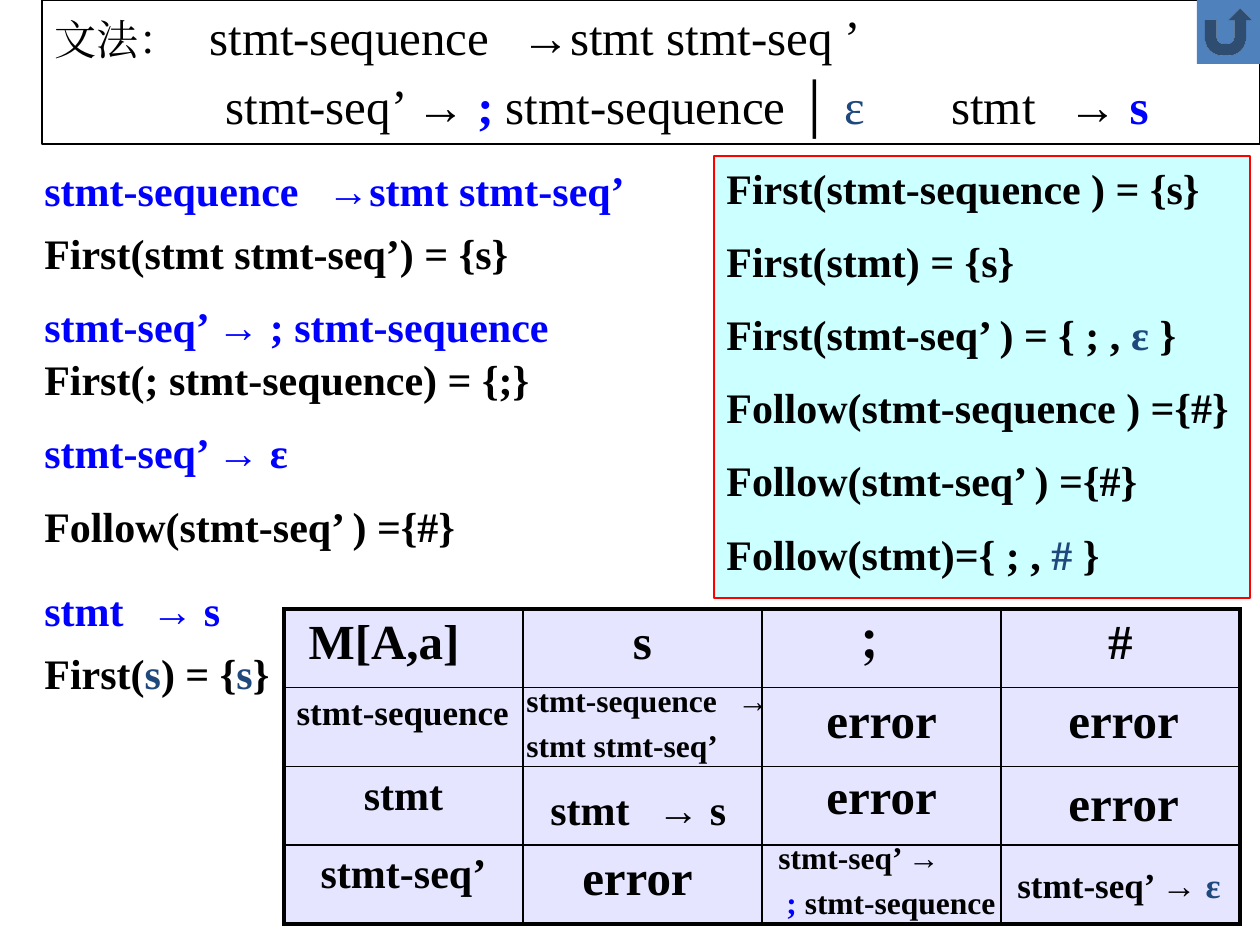
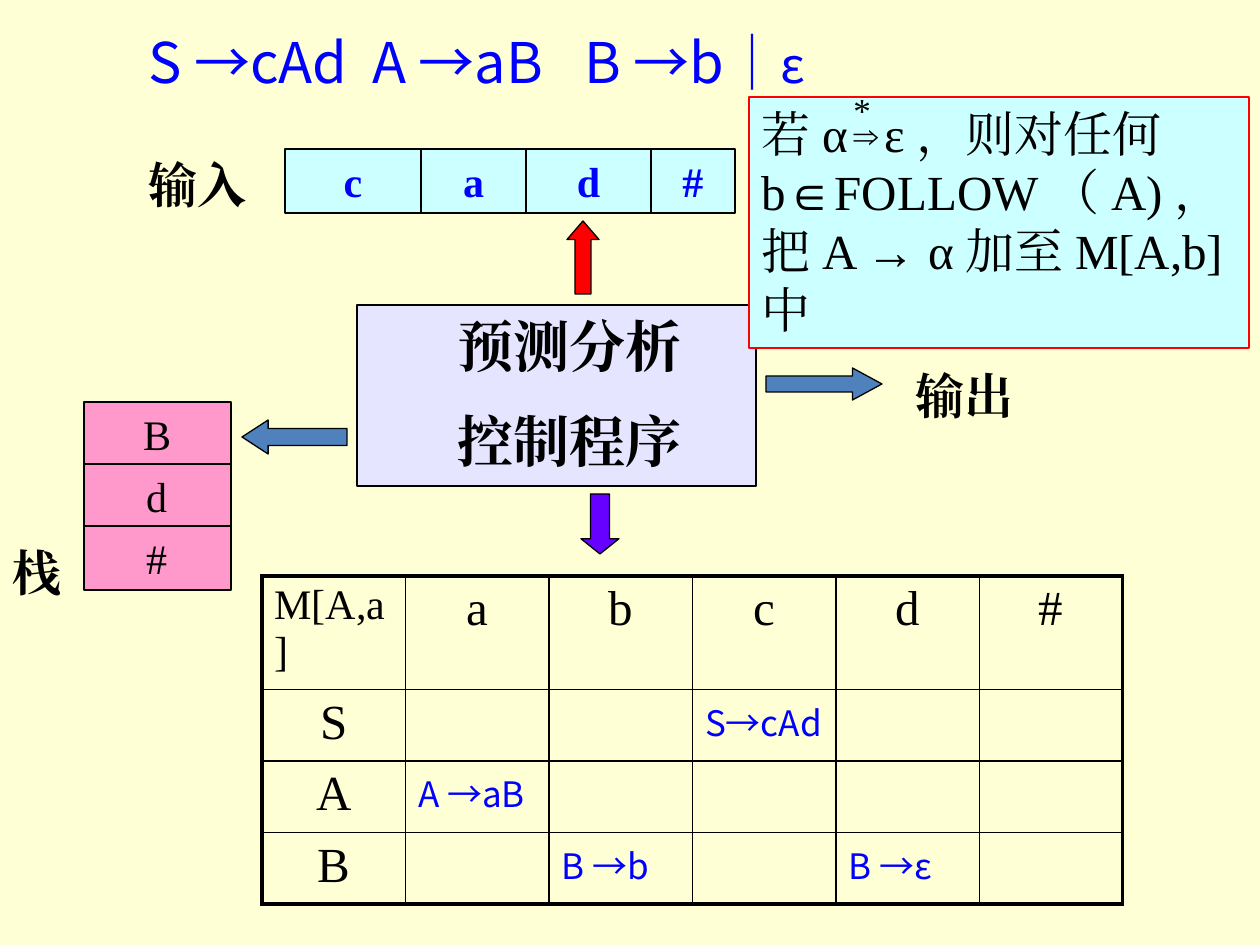
from dataclasses import dataclass

from lxml import etree
from pptx import Presentation
from pptx import util as u
from pptx.dml.color import RGBColor
from pptx.enum import shapes, text
from pptx.oxml.ns import qn

PX = 914400 / 126
SLIDE = (0, 0, 1260, 945)

BLACK = RGBColor(0, 0, 0)
BLUE = RGBColor(0, 0, 255)
RED = RGBColor(255, 0, 0)
NAVY = RGBColor(0x1F, 0x49, 0x7D)
STEEL = RGBColor(0x4F, 0x81, 0xBD)
VIOLET = RGBColor(0x66, 0, 255)
LAVENDER = RGBColor(0xE5, 0xE5, 255)
CYAN = RGBColor(0xCC, 255, 255)
PINK = RGBColor(255, 0x99, 0xCC)
CREAM = RGBColor(255, 255, 0xD5)

SERIF = "Times New Roman"
SANS = "Noto Sans CJK SC"
SHAPE = shapes.MSO_SHAPE
CENTER = text.PP_ALIGN.CENTER


@dataclass
class Span:
    text: str
    colour: RGBColor = None
    size: int = None
    bold: bool = None


@dataclass
class Line:
    spans: list
    tabs: tuple = ()
    indent: int = 0


@dataclass
class Style:
    size: int = 24
    colour: RGBColor = BLACK
    bold: bool = False
    font: str = SERIF
    align: text.PP_ALIGN = None
    before: int = 0
    spacing: float = None


STRONG = Style(bold=True)
RULE = Style(bold=True, colour=BLUE)
SMALL = Style(18, bold=True, before=4)
LABEL = Style(28, bold=True)
RULE_CELL = Style(20, BLUE, font=SANS)


def px(length):
    return u.Emu(round(length * PX))


def shift(box, left, top, width, height):
    """Return a box measured from the corner of another box."""
    return box[0] + left, box[1] + top, width, height


def format_span(span, run, style):
    font = run.font
    font.name = style.font
    font.size = u.Pt(span.size or style.size)
    font.bold = style.bold if span.bold is None else span.bold
    font.color.rgb = span.colour or style.colour
    latin = run._r.rPr.find(qn("a:latin"))
    east_asian = etree.Element(qn("a:ea"), typeface=style.font)
    latin.addnext(east_asian)


def write(frame, lines, style):
    """Fill a frame; a line may be a plain string or a Line of spans."""
    for index, line in enumerate(lines):
        if isinstance(line, str):
            line = Line([line])
        para = frame.add_paragraph() if index else frame.paragraphs[0]
        properties = para._p.get_or_add_pPr()
        if line.indent:
            properties.set("marL", str(px(line.indent)))
        if line.tabs:
            stops = etree.SubElement(properties, qn("a:tabLst"))
            for stop in line.tabs:
                etree.SubElement(stops, qn("a:tab"), pos=str(px(stop)), algn="l")
        para.alignment = style.align
        para.line_spacing = style.spacing
        if index:
            para.space_before = u.Pt(style.before)
        for span in line.spans:
            span = Span(span) if isinstance(span, str) else span
            run = para.add_run()
            run.text = span.text
            format_span(span, run, style)


def add_text(page, box, lines, style):
    frame = page.shapes.add_textbox(*map(px, box)).text_frame
    frame.word_wrap = True
    write(frame, lines, style)


def add_block(page, box, kind=SHAPE.RECTANGLE, fill=None, line=None, width=0.75,
              adjust=(), lines=(), style=STRONG):
    block = page.shapes.add_shape(kind, *map(px, box))
    block.shadow.inherit = False
    if fill is None:
        block.fill.background()
    else:
        block.fill.solid()
        block.fill.fore_color.rgb = fill
    if line is None:
        block.line.fill.background()
    else:
        block.line.color.rgb = line
        block.line.width = u.Pt(width)
    for index, value in enumerate(adjust):
        block.adjustments[index] = value
    if lines:
        frame = block.text_frame
        frame.vertical_anchor = text.MSO_ANCHOR.TOP
        frame.paragraphs[0].alignment = text.PP_ALIGN.LEFT
        frame.margin_left = frame.margin_right = u.Inches(0.1)
        frame.margin_top = frame.margin_bottom = u.Inches(0.05)
        frame.word_wrap = True
        write(frame, lines, style)


def add_border(cell, side, points):
    edge = etree.SubElement(cell._tc.get_or_add_tcPr(), qn(f"a:ln{side}"),
                            w=str(u.Pt(points)))
    fill = etree.SubElement(edge, qn("a:solidFill"))
    etree.SubElement(fill, qn("a:srgbClr"), val=str(BLACK))


def add_grid(page, box, rows, cols, contents, fill=None):
    """Add an even table with a heavy frame; contents maps (row, col) to (line, style)."""
    table = page.shapes.add_table(rows, cols, *map(px, box)).table
    table.first_row = table.horz_banding = False
    for column in table.columns:
        column.width = px(box[2] / cols)
    for row in table.rows:
        row.height = px(box[3] / rows)
    for r in range(rows):
        for c in range(cols):
            cell = table.cell(r, c)
            outer = {"L": c == 0, "R": c == cols - 1, "T": r == 0, "B": r == rows - 1}
            for side, heavy in outer.items():
                add_border(cell, side, 2.25 if heavy else 1)
            if fill is None:
                cell.fill.background()
            else:
                cell.fill.solid()
                cell.fill.fore_color.rgb = fill
            if (r, c) in contents:
                line, style = contents[r, c]
                write(cell.text_frame, [line], style)


def grammar_header(page, box):
    add_block(page, box, line=BLACK, width=1, style=Style(28, before=6), lines=[
        Line([Span("文法：", size=24), "\tstmt-sequence\t→stmt stmt-seq’"], (155, 467)),
        Line(["\tstmt-seq’ → ", Span("; ", BLUE, bold=True), "stmt-sequence │ ",
              Span("ε", NAVY), "\tstmt\t→ ", Span("s", BLUE, bold=True)],
             (171, 897, 1014)),
    ])


def first_follow_sets(page, box):
    add_block(page, box, fill=CYAN, line=RED, style=Style(bold=True, before=13), lines=[
        "First(stmt-sequence ) = {s}",
        "First(stmt) = {s}",
        Line(["First(stmt-seq’ ) = { ; , ", Span("ε", NAVY), " }"]),
        "Follow(stmt-sequence ) ={#}",
        "Follow(stmt-seq’ ) ={#}",
        Line(["Follow(stmt)={ ; , ", Span("#", NAVY), " }"]),
    ])


def production_notes(page, box):
    notes = [
        (0, Line(["stmt-sequence\t→stmt stmt-seq’"], (283,)), RULE),
        (63, "First(stmt stmt-seq’) = {s}", STRONG),
        (136, "stmt-seq’ → ; stmt-sequence", RULE),
        (189, "First(; stmt-sequence) = {;}", STRONG),
        (262, "stmt-seq’ → ε", RULE),
        (336, "Follow(stmt-seq’ ) ={#}", STRONG),
        (420, Line(["stmt\t→ s"], (107,)), RULE),
        (483, Line(["First(", Span("s", NAVY), ") = {", Span("s", NAVY), "}"]), STRONG),
    ]
    for top, line, style in notes:
        width = box[2] if top < 420 else 270
        add_text(page, shift(box, 0, top, width, 63), [line], style)


def parsing_table(page, box):
    big = Style(28, bold=True, align=CENTER)
    middle = Style(24, bold=True, align=CENTER)
    add_grid(page, box, 4, 4, {
        (0, 0): (Line(["M[A,a]"], indent=12), LABEL),
        (0, 1): ("s", big),
        (0, 2): ("；", big),
        (0, 3): ("#", big),
        (1, 0): ("stmt-sequence", Style(20, bold=True)),
        (2, 0): ("stmt", middle),
        (3, 0): ("stmt-seq’", middle),
    }, LAVENDER)
    entries = [
        ((230, 66, 275, 96), SMALL,
         [Line(["stmt-sequence\t→"], (211,)), "stmt stmt-seq’"]),
        ((482, 223, 256, 96), SMALL,
         ["stmt-seq’ →", Line([Span("; ", BLUE), "stmt-sequence"], indent=8)]),
        ((721, 248, 250, 54), Style(20, bold=True),
         [Line(["stmt-seq’ → ", Span("ε", NAVY)])]),
        ((254, 168, 210, 63), STRONG, [Line(["stmt\t→ s"], (107,))]),
    ]
    for place, style, lines in entries:
        add_text(page, shift(box, *place), lines, style)
    for left, top in [(286, 231), (530, 74), (530, 150), (772, 157), (772, 74)]:
        add_text(page, shift(box, left, top, 140, 72), ["error"], LABEL)


def input_tape(page, box):
    add_text(page, shift(box, 0, -1, 147, 72), ["输入"], LABEL)
    left = 149
    for symbol, width in zip("cad#", (136, 105, 125, 84)):
        add_block(page, shift(box, left, 0, width, box[3]), fill=CYAN, line=BLACK,
                  lines=[symbol], style=Style(bold=True, colour=BLUE, align=CENTER))
        left += width


def symbol_stack(page, box):
    for index, symbol in enumerate("Bd#"):
        add_block(page, shift(box, 0, 62 * index, box[2], 64), fill=PINK, line=BLACK,
                  lines=[symbol], style=Style(align=CENTER))
    add_text(page, shift(box, -84, 134, 80, 72), ["栈"], LABEL)


def control_program(page, box):
    """Draw the program box and its four arrows."""
    add_block(page, box, fill=LAVENDER, line=BLACK,
              style=Style(32, bold=True, before=16),
              lines=[Line([name], indent=88) for name in ("预测分析", "控制程序")])
    arrows = [
        (SHAPE.UP_ARROW, RED, 0.58, (210, -84, 32, 73)),
        (SHAPE.LEFT_ARROW, STEEL, 0.77, (-115, 115, 105, 34)),
        (SHAPE.RIGHT_ARROW, STEEL, 0.92, (409, 63, 116, 32)),
        (SHAPE.DOWN_ARROW, VIOLET, 0.4, (224, 189, 38, 60)),
    ]
    for kind, colour, head, place in arrows:
        add_block(page, shift(box, *place), kind, colour, BLACK, adjust=(0.5, head))
    add_text(page, shift(box, 546, 54, 147, 72), ["输出"], LABEL)


def predictive_table(page, box):
    plain = Style(28, align=CENTER)
    contents = {(0, 0): ("M[A,a]", Style())}
    contents.update({(0, c): (name, plain) for c, name in enumerate("abcd#", 1)})
    contents.update({(r, 0): (name, plain) for r, name in enumerate("SAB", 1)})
    rules = {(1, 3): "S→cAd", (2, 1): "A →aB", (3, 2): "B →b", (3, 4): "B →ε"}
    contents.update({place: (rule, RULE_CELL) for place, rule in rules.items()})
    add_grid(page, box, 4, 6, contents)


def epsilon_rule(page, box):
    add_block(page, box, fill=CYAN, line=RED, style=Style(28), lines=[
        Line(["若α\tε，则对任何b∈FOLLOW（A)，"], (123,)),
        "把A → α加至M[A,b]中",
    ])
    add_text(page, shift(box, 92, 0, 92, 63), ["*", "⇒"], Style(20, spacing=0.6))


def first_follow_slide(page):
    grammar_header(page, (42, 0, 1218, 144))
    first_follow_sets(page, (714, 156, 536, 442))
    parsing_table(page, (284, 609, 956, 315))
    add_block(page, (1197, 0, 63, 64), SHAPE.ACTION_BUTTON_RETURN, STEEL)
    production_notes(page, (32, 158, 640, 546))


def parser_model_slide(page):
    add_block(page, SLIDE, fill=CREAM)
    input_tape(page, (136, 149, 599, 64))
    control_program(page, (357, 305, 399, 181))
    symbol_stack(page, (84, 402, 147, 188))
    add_text(page, (136, 21, 746, 79),
             [Line(["S →cAd\tA →aB\tB →b│", Span("ε", size=28)], (224, 436))],
             Style(32, BLUE, font=SANS))
    predictive_table(page, (262, 576, 861, 286))
    epsilon_rule(page, (749, 97, 500, 251))


def main():
    deck = Presentation()
    deck.slide_width, deck.slide_height = px(SLIDE[2]), px(SLIDE[3])
    for build in (first_follow_slide, parser_model_slide):
        build(deck.slides.add_slide(deck.slide_layouts[6]))
    deck.save("out.pptx")


if __name__ == "__main__":
    main()
